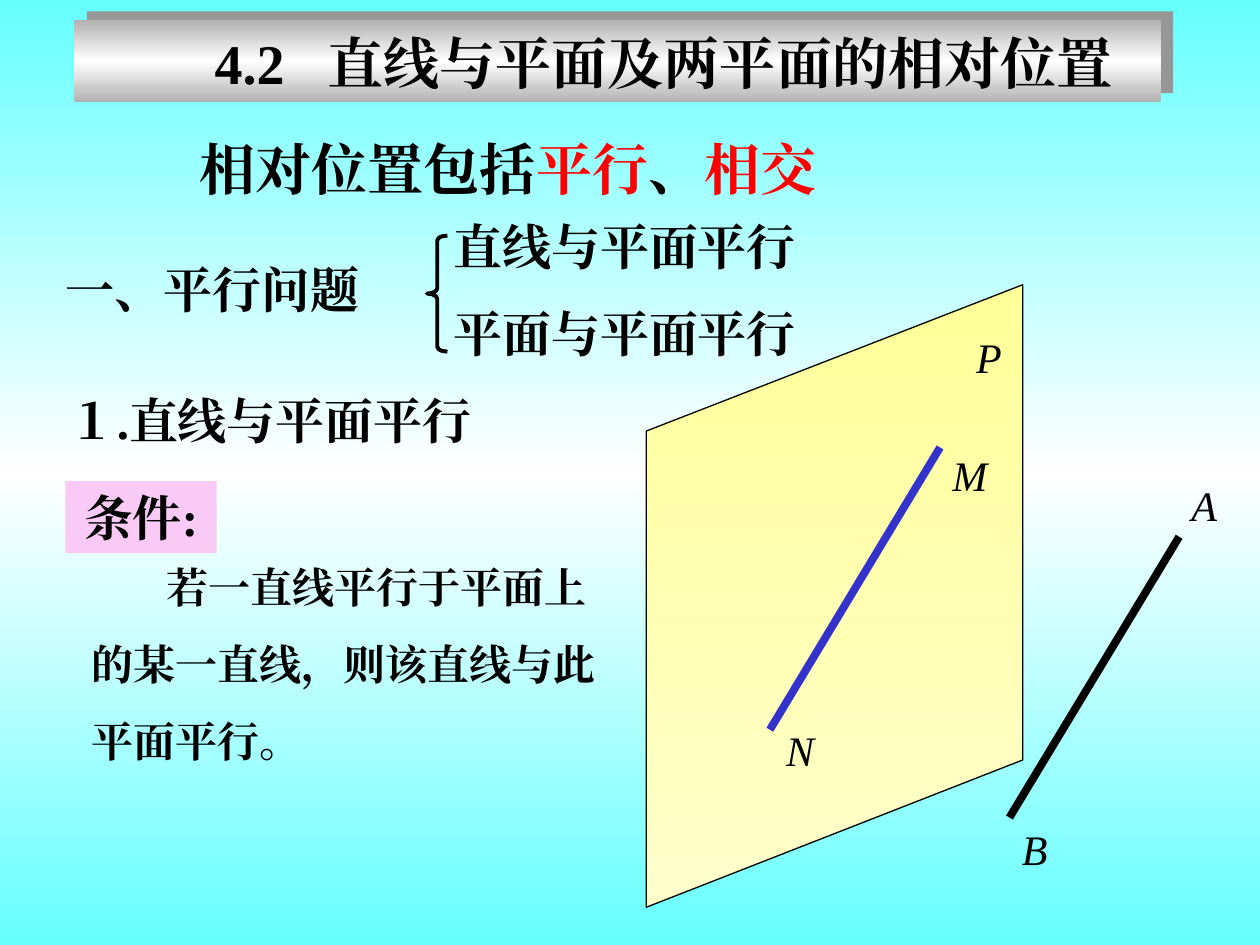
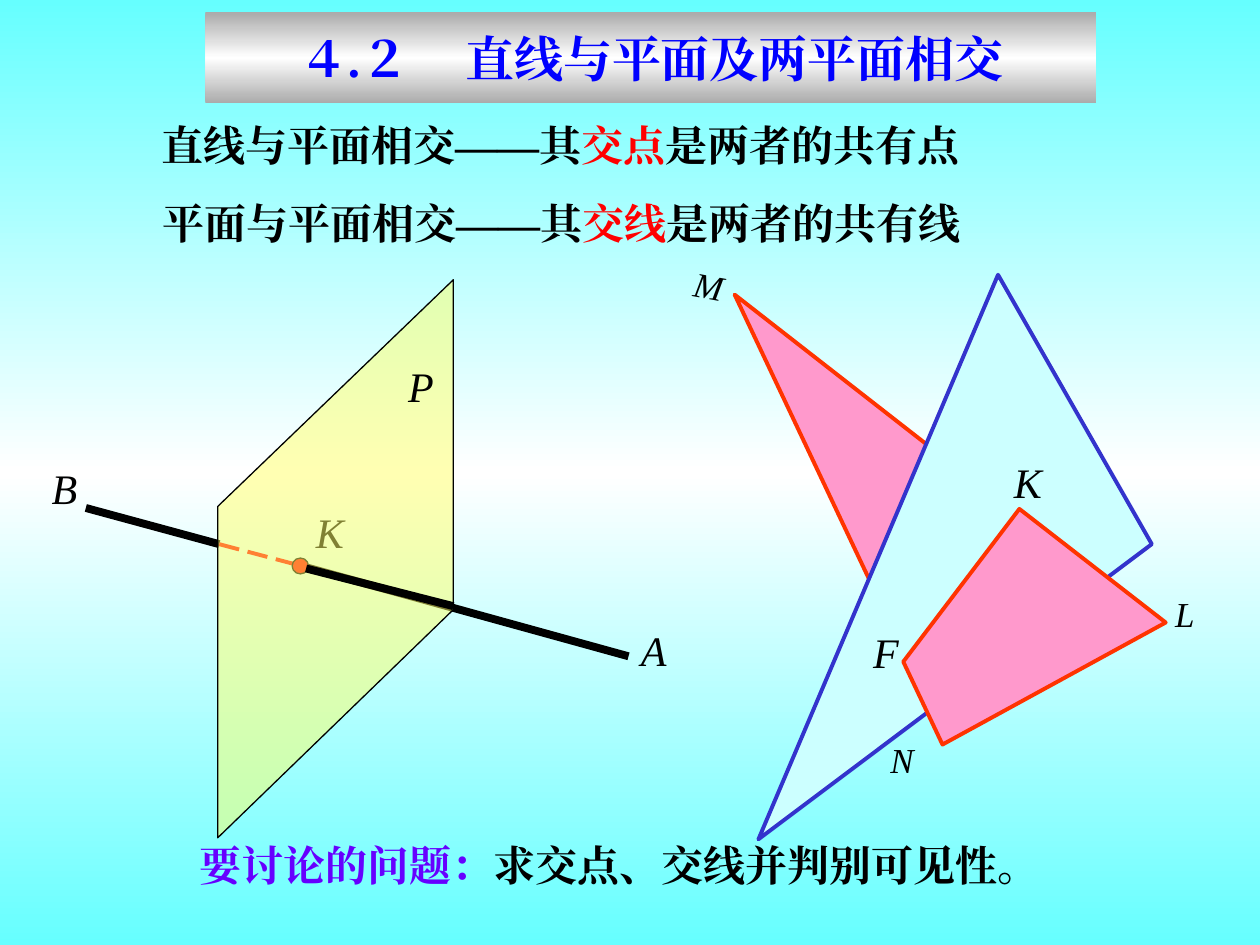
from lxml.etree import SubElement
from pptx import Presentation
from pptx.dml.color import RGBColor
from pptx.enum.shapes import MSO_CONNECTOR, MSO_SHAPE
from pptx.enum.text import MSO_ANCHOR, PP_ALIGN
from pptx.oxml.ns import qn
from pptx.util import Cm, Pt

FONT = "Times New Roman"
BLACK, RED, BLUE, VIOLET = "000000", "FF0000", "0000FF", "6600FF"
INDIGO, VERMILION, PINK, PALE_CYAN = "3333CC", "FF3300", "FF99CC", "CCFFFF"
YELLOW, GREY, LILAC = "FFFF66", "969696", "FACAF7"
SKY = ("66FFFF", "FFFFFF", "66FFFF")
SILVER = ("B2B2B2", "FFFFFF", "B2B2B2")
STEEL = ("ABABAB", "FFFFFF", "ABABAB")
CREAM = ("FFFF99", "FFFFCC")


def rgb(value):
    return RGBColor.from_string(value)


class Board:
    """Holds the shared style and the slide being drawn."""

    def __init__(self):
        self.deck = Presentation()
        self.deck.slide_width, self.deck.slide_height = Cm(25.4), Cm(19.05)
        self.slide = None

    def new_slide(self):
        self.slide = self.deck.slides.add_slide(self.deck.slide_layouts[6])
        self.paint(self.slide.background.fill, self.slide._element, SKY)

    def paint(self, fill, element, colors, opacity=100):
        """Fill with one colour, or with a gradient from top to bottom."""
        if isinstance(colors, str):
            fill.solid()
            fill.fore_color.rgb = rgb(colors)
            if opacity < 100:
                color = element.find(f".//{qn('a:solidFill')}/{qn('a:srgbClr')}")
                SubElement(color, qn("a:alpha"), val=str(opacity * 1000))
            return
        fill.gradient()
        fill.gradient_angle = 270
        stops = element.find(f".//{qn('a:gsLst')}")
        for stop in list(stops):
            stops.remove(stop)
        for i, color in enumerate(colors):
            position = 100000 * i // (len(colors) - 1)
            stop = SubElement(stops, qn("a:gs"), pos=str(position))
            SubElement(stop, qn("a:srgbClr"), val=color)

    def put_text(self, shape, paragraphs, size, bold=True, italic=False,
                 align=PP_ALIGN.LEFT, anchor=MSO_ANCHOR.MIDDLE, gap=0, indent=0, tab=0):
        """Each paragraph is a list of (text, colour) runs."""
        frame = shape.text_frame
        frame.word_wrap = True
        frame.vertical_anchor = anchor
        for i, runs in enumerate(paragraphs):
            paragraph = frame.add_paragraph() if i else frame.paragraphs[0]
            paragraph.alignment = align
            if i:
                paragraph.space_before = Pt(gap)
            elif indent:
                paragraph._p.get_or_add_pPr().set("indent", str(Cm(indent)))
            if tab:
                tabs = SubElement(paragraph._p.get_or_add_pPr(), qn("a:tabLst"))
                SubElement(tabs, qn("a:tab"), pos=str(Cm(tab)), algn="l")
            font = paragraph.font
            font.name, font.size = FONT, Pt(size)
            font.bold, font.italic = bold, italic
            colors = {color for _, color in runs}
            if len(colors) == 1:
                font.color.rgb = rgb(runs[0][1])
            defaults = paragraph._p.pPr.find(qn("a:defRPr"))
            SubElement(defaults, qn("a:ea"), typeface=FONT)
            for text, color in runs:
                run = paragraph.add_run()
                run.text = text
                if len(colors) > 1:
                    run.font.color.rgb = rgb(color)

    def text(self, x, y, width, height, *paragraphs, size=28, **style):
        box = self.slide.shapes.add_textbox(Cm(x), Cm(y), Cm(width), Cm(height))
        self.put_text(box, paragraphs, size, **style)
        return box

    def label(self, letter, x, y, size=24, turn=0, width=1.27):
        """Italic letter that names a point or a plane."""
        box = self.text(x, y, width, size * 0.053, [(letter, BLACK)], size=size,
                        bold=False, italic=True, anchor=MSO_ANCHOR.TOP)
        box.rotation = turn

    def shape(self, kind, x, y, width, height, colors=None, edge=None, weight=0):
        shape = self.slide.shapes.add_shape(kind, Cm(x), Cm(y), Cm(width), Cm(height))
        self.finish(shape, colors, edge, weight)
        return shape

    def finish(self, shape, colors, edge, weight, opacity=100):
        shape.shadow.inherit = False
        if colors:
            self.paint(shape.fill, shape._element, colors, opacity)
        else:
            shape.fill.background()
        if edge:
            shape.line.color.rgb = rgb(edge)
            shape.line.width = Pt(weight)
            SubElement(shape._element.spPr.find(qn("a:ln")), qn("a:round"))
        else:
            shape.line.fill.background()

    def band(self, x, y, width, height, colors):
        return self.shape(MSO_SHAPE.RECTANGLE, x, y, width, height, colors)

    def plane(self, corners, colors, edge=BLACK, weight=0, opacity=100):
        points = [(Cm(x), Cm(y)) for x, y in corners]
        outline = self.slide.shapes.build_freeform(*points[0])
        outline.add_line_segments(points[1:], close=True)
        self.finish(outline.convert_to_shape(), colors, edge, weight, opacity)

    def line(self, x1, y1, x2, y2, color=BLACK, weight=4.5):
        line = self.slide.shapes.add_connector(
            MSO_CONNECTOR.STRAIGHT, Cm(x1), Cm(y1), Cm(x2), Cm(y2))
        line.line.color.rgb = rgb(color)
        line.line.width = Pt(weight)
        SubElement(line._element.spPr, qn("a:effectLst"))


def parallel_slide(board):
    board.new_slide()

    # Topics and their brace
    board.text(3.78, 2.57, 13.5, 1.63, [("相对位置包括", BLACK), ("平行", RED),
                                        ("、", BLACK), ("相交", RED)], size=32)
    for topic, x, y, width in [("一、平行问题", 1.07, 5.11, 7.2),
                               ("直线与平面平行", 8.89, 4.24, 8),
                               ("平面与平面平行", 8.89, 5.99, 8),
                               ("１.直线与平面平行", 1.12, 7.75, 9.4)]:
        board.text(x, y, width, 1.45, [(topic, BLACK)])
    brace = board.shape(MSO_SHAPE.LEFT_BRACE, 8.61, 4.75, 0.41, 2.34,
                        edge=BLACK, weight=2.25)
    brace.adjustments[0] = 0.25

    # Title band with its offset shade
    board.band(1.75, 0.23, 21.9, 1.65, GREY)
    board.band(1.5, 0.41, 21.9, 1.65, SILVER)
    board.text(4.08, 0.46, 19, 1.63, [("4.2\t直线与平面及两平面的相对位置", BLACK)],
               size=32, anchor=MSO_ANCHOR.TOP, tab=2.28)

    # Plane P with MN in it, and AB parallel to MN
    board.plane([(13.03, 8.69), (20.62, 5.74), (20.62, 15.32), (13.03, 18.29)], CREAM)
    board.line(23.77, 10.82, 20.35, 16.48)
    board.line(18.95, 9.02, 15.52, 14.71, INDIGO)
    for letter, x, y in [("A", 23.77, 9.55), ("B", 20.35, 16.48), ("P", 19.43, 6.55),
                         ("M", 18.95, 8.94), ("N", 15.6, 14.48)]:
        board.label(letter, x, y)

    # Condition
    condition = board.band(1.32, 9.7, 3.05, 1.45, LILAC)
    condition.text_frame.margin_left = condition.text_frame.margin_right = 0
    board.put_text(condition, [[("条件:", BLACK)]], 28, align=PP_ALIGN.CENTER,
                   anchor=MSO_ANCHOR.TOP)
    statement = ("若一直线平行于平面上", "的某一直线，则该直线与此", "平面平行。")
    board.text(1.6, 11.2, 11.5, 4.37, *([(part, BLACK)] for part in statement),
               size=24, anchor=MSO_ANCHOR.TOP, gap=15, indent=1.51)


def intersection_slide(board):
    board.new_slide()

    # Line AB, hidden behind the plane up to K
    board.label("A", 12.67, 12.47)
    board.line(1.73, 10.24, 4.42, 10.97)
    board.line(5.97, 11.38, 12.67, 13.23)
    board.label("B", 0.79, 9.19)
    slope = 0.265
    for i in range(3):
        x, y = 4.42 + 0.57 * i, 10.97 + 0.57 * slope * i
        board.line(x, y, x + 0.4, y + 0.4 * slope, RED, 2.25)
    board.label("K", 6.12, 10.08)
    board.shape(MSO_SHAPE.OVAL, 5.89, 11.25, 0.33, 0.32, RED, BLACK)

    # Translucent plane P
    board.plane([(4.39, 10.21), (9.14, 5.64), (9.14, 12.29), (4.39, 16.89)],
                YELLOW, opacity=50)
    board.label("P", 7.98, 7.14)

    # Two crossing triangles: far part, blue plane, near part
    board.plane([(17.91, 12.5), (14.81, 5.94), (20.9, 10.69)], PINK, VERMILION, 2.25)
    board.label("M", 13.74, 5.31, size=20, turn=10.4, width=2.21)
    board.plane([(23.22, 10.97), (15.29, 16.92), (20.12, 5.54)], PALE_CYAN, INDIGO, 2.25)
    board.plane([(20.55, 10.26), (18.21, 13.34), (19, 15.01), (23.5, 12.55)],
                PINK, VERMILION, 2.25)
    for letter, x, y, size in [("F", 17.35, 12.5, 24), ("K", 20.19, 9.07, 24),
                               ("N", 17.7, 14.76, 20), ("L", 23.44, 11.81, 20)]:
        board.label(letter, x, y, size)

    # Statements
    for x, y, subject, shared, ending in [
            (3, 2.29, "直线与平面相交——其", "交点", "是两者的共有点"),
            (3.02, 3.86, "平面与平面相交——其", "交线", "是两者的共有线")]:
        board.text(x, y, 17.32, 1.27,
                   [(subject, BLACK), (shared, RED), (ending, BLACK)], size=24)
    board.text(3.78, 16.79, 17.65, 1.27,
               [("要讨论的问题：", VIOLET), ("求交点、交线并判别可见性。", BLACK)],
               size=24, anchor=MSO_ANCHOR.TOP)

    # Title band
    title = board.band(4.14, 0.25, 17.96, 1.83, STEEL)
    title.text_frame.margin_left, title.text_frame.margin_right = Cm(1.89), 0
    board.put_text(title, [[("４.２\t直线与平面及两平面相交", BLUE)]], 28, tab=3.35)

    # Visible part of AB in front of plane P
    board.line(6.17, 11.46, 9.14, 12.22)


def main():
    board = Board()
    parallel_slide(board)
    intersection_slide(board)
    board.deck.save("out.pptx")


if __name__ == "__main__":
    main()
